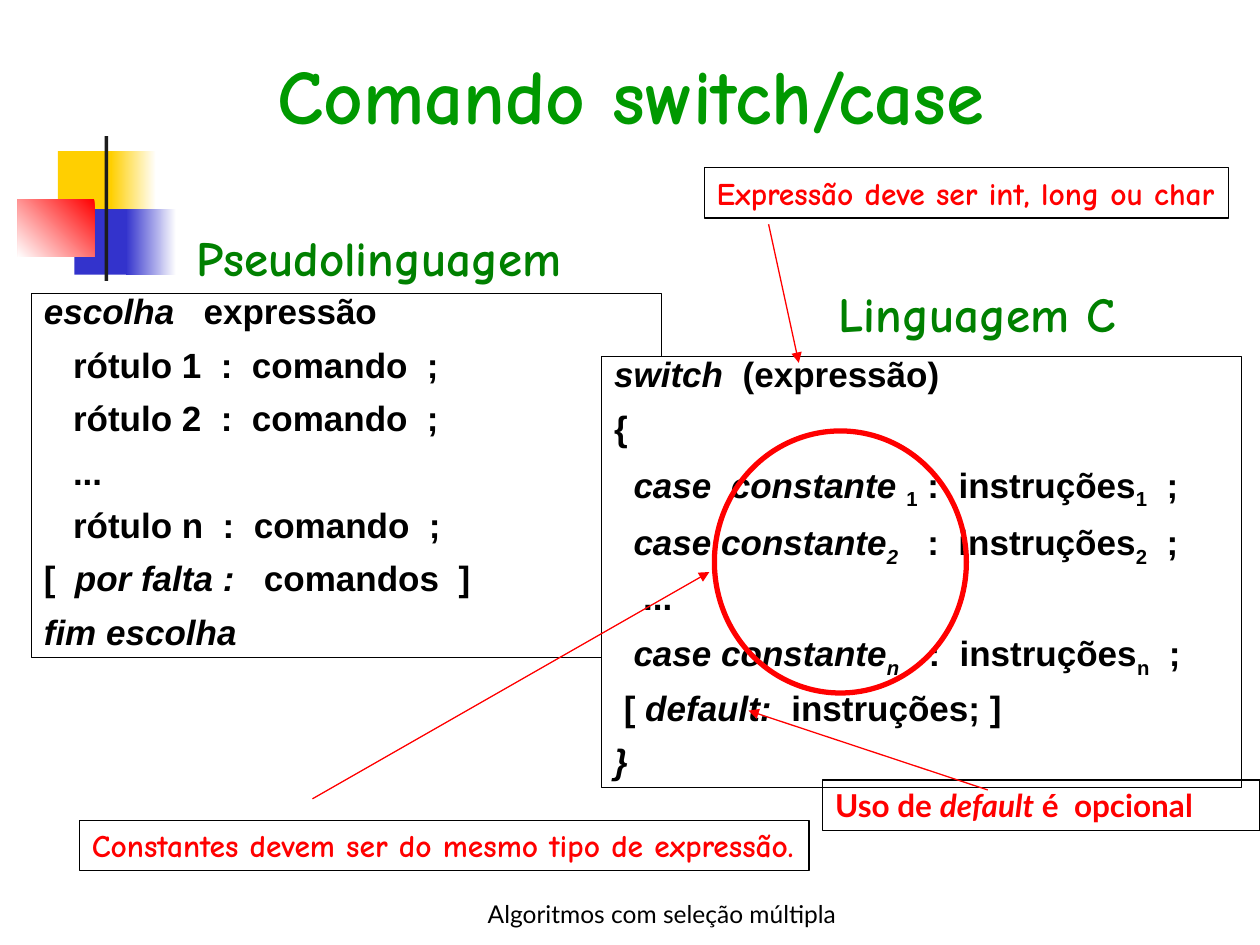
from lxml.etree import SubElement
from pptx import Presentation
from pptx.dml.color import RGBColor
from pptx.enum.shapes import MSO_CONNECTOR, MSO_SHAPE
from pptx.enum.text import MSO_ANCHOR, MSO_AUTO_SIZE, PP_ALIGN
from pptx.oxml.ns import qn
from pptx.util import Inches, Pt

# Grid of 100 columns by 75 rows
deck = Presentation()
deck.slide_width, deck.slide_height = Inches(10), Inches(7.5)
COLUMN, ROW = deck.slide_width / 100, deck.slide_height / 75
SPACE = Pt(5.56)  # one space of 20 pt Arial
page = deck.slides.add_slide(deck.slide_layouts[6])
color = RGBColor.from_string


def add_block(kind, place, fill=None, line=None, weight=0.75):
    """Add a shape, or a text box when kind is None, at grid place."""
    left, top, width, height = place
    area = [round(v) for v in (left * COLUMN, top * ROW, width * COLUMN, height * ROW)]
    if kind is None:
        return page.shapes.add_textbox(*area)
    box = page.shapes.add_shape(kind, *area)
    box.shadow.inherit = False
    if fill:
        box.fill.solid()
        box.fill.fore_color.rgb = color(fill)
    else:
        box.fill.background()
    if line:
        box.line.color.rgb = color(line)
        box.line.width = Pt(weight)
    else:
        box.line.fill.background()
    return box


def write(box, lines, font, size, ink, bold=True, wrap=False, before=None, spacing=None):
    """Lines are (indent in spaces, runs); run styles: i italic, s subscript."""
    frame = box.text_frame
    frame.word_wrap = wrap
    frame.auto_size = MSO_AUTO_SIZE.SHAPE_TO_FIT_TEXT
    frame.vertical_anchor = MSO_ANCHOR.TOP
    for number, (indent, runs) in enumerate(lines):
        para = frame.add_paragraph() if number else frame.paragraphs[0]
        para.alignment = PP_ALIGN.LEFT
        if before:
            para.space_before = Pt(before)
        if spacing:
            para.line_spacing = spacing
        if indent:
            para._p.get_or_add_pPr().set("marL", str(indent * SPACE))
        for text, style in runs:
            span = para.add_run()
            span.text = text
            span.font.name, span.font.size = font, Pt(size)
            span.font.bold, span.font.italic = bold, "i" in style
            span.font.color.rgb = color(ink)
            if "s" in style:
                span.font._element.set("baseline", "-25000")


# Corner ornament: place, start colour, end colour, angle
for place, start, end, angle in [
    ((4.6, 12, 4.8, 5.2), "FFCF01", None, 0),
    ((8.8, 12, 3.6, 5.2), "FFFFFF", "FFCF01", 180),
    ((5.9, 16.6, 4.6, 5.2), "3333CC", None, 0),
    ((10, 16.6, 4, 5.2), "FFFFFF", "3333CC", 180),
    ((1.4, 15.8, 6.1, 4.6), "FF0000", "FFFFFF", 225),
    ((8.3, 10.8, 0.3, 11.5), "1C1C1C", None, 0),
]:
    tile = add_block(MSO_SHAPE.RECTANGLE, place, start)
    if end:
        tile.fill.gradient()
        tile.fill.gradient_angle = angle
        for stop, shade in zip(tile.fill.gradient_stops, (start, end)):
            stop.color.rgb = color(shade)

# Title
write(add_block(None, (21, 3.3, 58.9, 8.4)), [(0, [("Comando switch/case", "")])],
      "Comic Neue", 44, "009900")

# Code boxes
pseudocode = [
    (0, [("escolha", "i"), ("   expressão", "")]),
    (3, [("rótulo 1  :  comando  ;", "")]),
    (3, [("rótulo 2  :  comando  ;", "")]),
    (3, [("...", "")]),
    (3, [("rótulo n  :  comando  ;", "")]),
    (0, [("[", ""), ("  por falta :", "i"), ("   comandos  ]", "")]),
    (0, [("fim escolha", "i")]),
]
c_code = [
    (0, [("switch ", "i"), (" (expressão)", "")]),
    (0, [("{", "")]),
    (2, [("case  constante ", "i"), ("1", "s"), (" :  instruções", ""), ("1", "s"), ("  ;", "")]),
    (2, [("case constante", "i"), ("2", "is"), ("   :  instruções", ""), ("2", "s"), ("  ;", "")]),
    (3, [("...", "")]),
    (2, [("case constante", "i"), ("n", "is"), ("   :  instruções", ""), ("n", "s"), ("  ;", "")]),
    (1, [("[ ", ""), ("default:", "i"), ("  instruções; ]", "")]),
    (0, [("}", "i")]),
]
for place, lines in [((2.5, 23.3, 50, 28.9), pseudocode), ((47.75, 28.3, 50.8, 34.2), c_code)]:
    code_box = add_block(MSO_SHAPE.RECTANGLE, place, "FFFFFF", "000000")
    write(code_box, lines, "Arial", 20, "000000", wrap=True, before=12.5, spacing=0.75)

# Headings over the code boxes, with room to spare on the right
for place, heading in [((14.6, 17.6, 33, 5.7), "Pseudolinguagem"),
                       ((65.6, 22, 26, 5.7), "Linguagem C")]:
    write(add_block(None, place), [(0, [(heading, "")])],
          "Comic Neue", 28, "008000", wrap=True)

# Framed remarks
for place, font, wrap, runs in [
    ((55.9, 13.3, 41.6, 4), "Comic Neue", False, [("Expressão deve ser int, long ou char", "")]),
    ((6.3, 65.1, 57.9, 4), "Comic Neue", False,
     [("Constantes devem ser do mesmo tipo de expressão.", "")]),
    ((65.3, 61.9, 34.7, 4), "Lato", True,
     [("Uso de ", ""), ("default", "i"), (" é  opcional", "")]),
]:
    remark = add_block(MSO_SHAPE.RECTANGLE, place, line="000000")
    write(remark, [(0, runs)], font, 18, "FF0000", wrap=wrap, before=11.2)

# Ring around the constants
add_block(MSO_SHAPE.OVAL, (56.7, 34.2, 20, 20.8), line="FF0000", weight=3)

# Arrows from the remarks to the code
for x1, y1, x2, y2 in [(61, 17.8, 63.4, 28.8), (24.8, 63.4, 56.3, 45.4),
                       (78.4, 62.7, 59.4, 56.4)]:
    arrow = page.shapes.add_connector(
        MSO_CONNECTOR.STRAIGHT, round(x1 * COLUMN), round(y1 * ROW),
        round(x2 * COLUMN), round(y2 * ROW))
    arrow.line.color.rgb = color("FF0000")
    arrow.line.width = Pt(0.75)
    SubElement(arrow.line._get_or_add_ln(), qn("a:tailEnd"), type="triangle")
    SubElement(arrow._element.spPr, qn("a:effectLst"))

# Footer
footer = add_block(None, (36.7, 69.2, 31.7, 5))
write(footer, [(0, [("Algoritmos com seleção múltipla", "")])],
      "Lato", 14, "000000", bold=False, wrap=True)
footer.text_frame.auto_size = MSO_AUTO_SIZE.NONE
footer.text_frame.vertical_anchor = MSO_ANCHOR.BOTTOM
footer.text_frame.paragraphs[0].alignment = PP_ALIGN.CENTER

deck.save("out.pptx")
